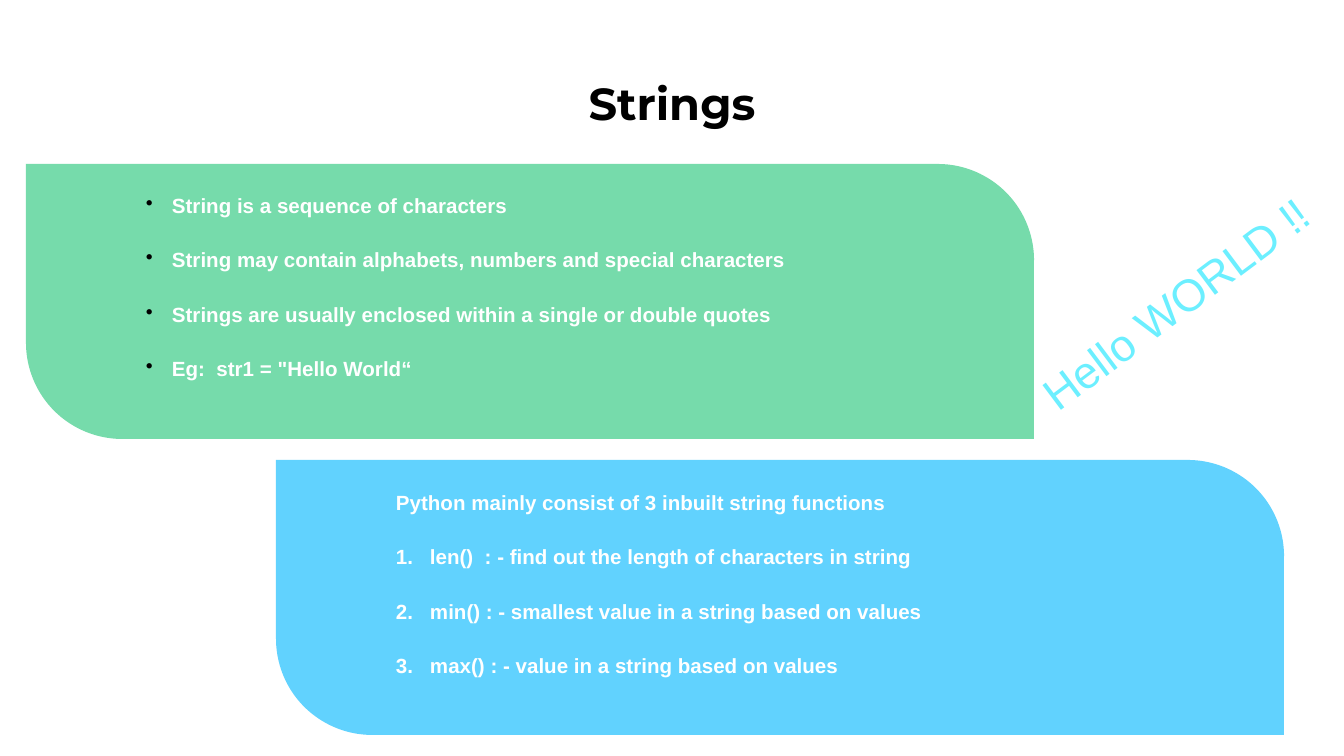
from lxml.etree import SubElement
from pptx import Presentation
from pptx.dml.color import RGBColor
from pptx.enum.shapes import MSO_SHAPE as Shape
from pptx.enum.text import MSO_ANCHOR as Anchor, PP_ALIGN as Align
from pptx.oxml.ns import qn
from pptx.util import Emu, Pt

BLACK = RGBColor(0x00, 0x00, 0x00)
WHITE = RGBColor(0xFF, 0xFF, 0xFF)
GREEN = RGBColor(0x76, 0xDB, 0xAB)
BLUE = RGBColor(0x61, 0xD2, 0xFE)
CYAN = RGBColor(0x6C, 0xEF, 0xFF)

TITLE = "Strings"
GREETING = "Hello WORLD !!"
BULLET = ("buChar", {"char": "•"}, BLACK, 26)
NUMBER = ("buAutoNum", {"type": "arabicPeriod"}, WHITE, 34)
PANELS = [
    {"corner": (26, 164), "text_at": (133, 180), "fill": GREEN, "lines": [
        ("String is a sequence of characters", BULLET),
        ("String may contain alphabets, numbers and special characters", BULLET),
        ("Strings are usually enclosed within a single or double quotes", BULLET),
        ("Eg:  str1 = \"Hello World“", BULLET),
    ]},
    {"corner": (276, 460), "text_at": (383, 477), "fill": BLUE, "lines": [
        ("Python mainly consist of 3 inbuilt string functions", None),
        ("len()  : - find out the length of characters in string", NUMBER),
        ("min() : - smallest value in a string based on values", NUMBER),
        ("max() : - value in a string based on values", NUMBER),
    ]},
]

PANEL_WIDTH, PANEL_HEIGHT = 1008, 275
TEXT_SIZE = (723, 242)
GAP = Pt(16)


def px(value):
    return Emu(round(value * 914400 / 134.4))


def place(shape, left, top, width, height):
    shape.left, shape.top = px(left), px(top)
    shape.width, shape.height = px(width), px(height)


def set_insets(frame, side, end):
    frame.margin_left = frame.margin_right = px(side)
    frame.margin_top = frame.margin_bottom = px(end)
    frame.word_wrap = True


def add_text(para, text, size, color, font="Arial", bold=False):
    run = para.add_run()
    run.text = text
    run.font.name = font
    run.font.size = Pt(size)
    run.font.bold = bold
    run.font.color.rgb = color


def add_marker(para, marker):
    tag, attributes, color, indent = marker
    props = para._p.get_or_add_pPr()
    props.set("marL", str(px(indent)))
    props.set("indent", str(-px(indent)))
    color_node = SubElement(props, qn("a:buClr"))
    SubElement(color_node, qn("a:srgbClr"), val=str(color))
    SubElement(props, qn(f"a:{tag}"), **attributes)


def add_panel(slide, corner, text_at, fill, lines):
    left, top = corner
    shift = (PANEL_WIDTH - PANEL_HEIGHT) / 2
    panel = slide.shapes.add_shape(
        Shape.ROUND_2_DIAG_RECTANGLE, px(left + shift), px(top - shift),
        px(PANEL_HEIGHT), px(PANEL_WIDTH))
    panel.rotation = 90
    panel.adjustments[0] = 0.35
    panel.adjustments[1] = 0
    panel.shadow.inherit = False
    panel.fill.solid()
    panel.fill.fore_color.rgb = fill
    panel.line.fill.background()

    box = slide.shapes.add_textbox(*map(px, text_at + TEXT_SIZE))
    frame = box.text_frame
    set_insets(frame, 13, 13)
    for index, (text, marker) in enumerate(lines):
        para = frame.add_paragraph() if index else frame.paragraphs[0]
        if marker:
            add_marker(para, marker)
        if index:
            para.space_before = GAP
        add_text(para, text, 11, WHITE, bold=True)
    para.space_after = GAP


deck = Presentation()
deck.slide_width, deck.slide_height = px(1344), px(756)
slide = deck.slides.add_slide(deck.slide_layouts[5])

title = slide.shapes.title
place(title, 67, 60, 1210, 85)
set_insets(title.text_frame, 13, 13)
title.text_frame.vertical_anchor = Anchor.MIDDLE
title_para = title.text_frame.paragraphs[0]
title_para.alignment = Align.CENTER
add_text(title_para, TITLE, 24, BLACK, "Montserrat", True)

for panel in PANELS:
    add_panel(slide, **panel)

greeting = slide.shapes.add_textbox(px(1001), px(269), px(349), px(67))
greeting.rotation = 323.2
set_insets(greeting.text_frame, 13, 7)
greeting_para = greeting.text_frame.paragraphs[0]
greeting_para.alignment = Align.CENTER
add_text(greeting_para, GREETING, 24, CYAN)

deck.save("out.pptx")
